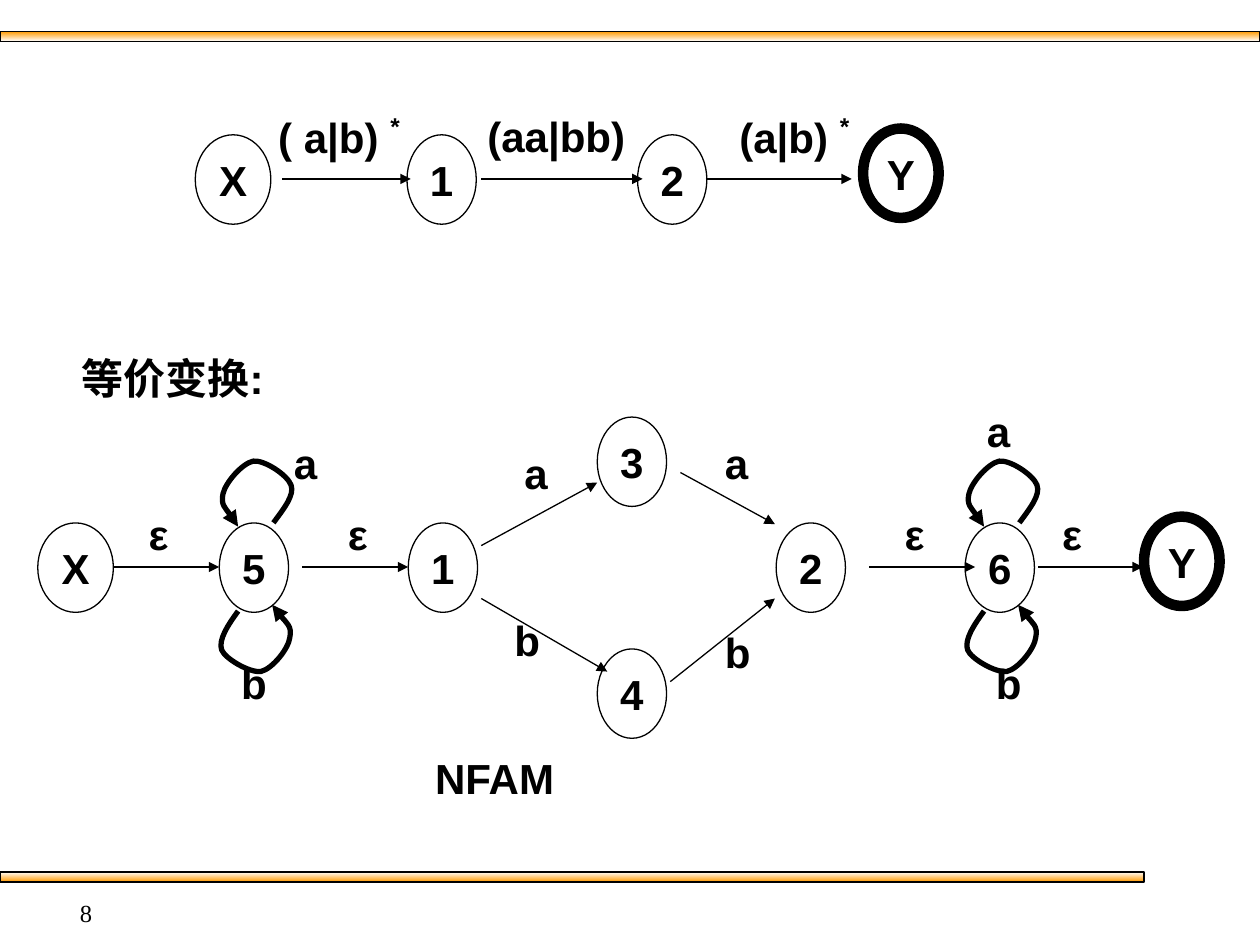
from lxml import etree
from pptx import Presentation
from pptx.dml.color import RGBColor
from pptx.enum.shapes import MSO_CONNECTOR, MSO_SHAPE
from pptx.enum.text import MSO_ANCHOR, PP_ALIGN
from pptx.oxml.ns import qn
from pptx.util import Inches, Pt

BLACK = RGBColor(0x00, 0x00, 0x00)
WHITE = RGBColor(0xFF, 0xFF, 0xFF)
ORANGE = RGBColor(0xFF, 0x99, 0x00)
OVAL, RECTANGLE = MSO_SHAPE.OVAL, MSO_SHAPE.RECTANGLE
STRAIGHT = MSO_CONNECTOR.STRAIGHT
MIDDLE = MSO_ANCHOR.MIDDLE
LEFT, CENTER, RIGHT = PP_ALIGN.LEFT, PP_ALIGN.CENTER, PP_ALIGN.RIGHT

prs = Presentation()
prs.slide_width, prs.slide_height = Inches(10), Inches(7.5)
slide = prs.slides.add_slide(prs.slide_layouts[6])
shapes = slide.shapes


def write(shape, text, align, size=24, font="Arial", bold=True):
    frame = shape.text_frame
    frame.word_wrap = False
    paragraph = frame.paragraphs[0]
    paragraph.text = text.removesuffix("*")
    paragraph.alignment = align
    if text.endswith("*"):
        star = paragraph.add_run()
        star.text = "*"
        star.font._element.set("baseline", "44000")
    for run in paragraph.runs:
        run.font.size = Pt(size)
        run.font.name = font
        run.font.bold = bold
        run.font.color.rgb = BLACK


def draw_arrow(shape, width):
    shape.line.color.rgb = BLACK
    shape.line.width = Pt(width)
    etree.SubElement(shape.line._get_or_add_ln(), qn("a:tailEnd"), type="triangle")


bars = [(0.25, 10, ORANGE, WHITE), (6.92, 9.08, WHITE, ORANGE)]
for top, width, top_color, bottom_color in bars:
    bar = shapes.add_shape(RECTANGLE, 0, Inches(top), Inches(width), Inches(0.08))
    bar.shadow.inherit = False
    bar.fill.gradient()
    bar.fill.gradient_angle = 270
    for stop, position, color in zip(bar.fill.gradient_stops, (0, 1), (top_color, bottom_color)):
        stop.position = position
        stop.color.rgb = color
    bar.line.color.rgb = BLACK
    bar.line.width = Pt(0.75)

states = [
    ("X", 1.55, 1.07), ("1", 3.23, 1.07), ("2", 5.06, 1.07), ("Y", 6.85, 1.02),
    ("X", 0.3, 4.15), ("5", 1.74, 4.15), ("1", 3.24, 4.15), ("3", 4.74, 3.31),
    ("4", 4.74, 5.15), ("2", 6.16, 4.15), ("6", 7.66, 4.15), ("Y", 9.08, 4.1),
]
for name, left, top in states:
    width = 0.6 if name in "XY" else 0.55
    state = shapes.add_shape(OVAL, Inches(left), Inches(top), Inches(width), Inches(0.71))
    state.shadow.inherit = False
    state.fill.background()
    state.line.color.rgb = BLACK
    state.line.width = Pt(6 if name == "Y" else 0.75)
    state.text_frame.vertical_anchor = MIDDLE
    write(state, name, CENTER)

transitions = [
    (2.24, 1.42, 3.26, 1.42), (3.82, 1.42, 5.1, 1.42), (5.6, 1.42, 6.76, 1.42),
    (0.9, 4.5, 1.74, 4.5), (2.4, 4.5, 3.24, 4.5),
    (6.9, 4.5, 7.74, 4.5), (8.24, 4.5, 9.07, 4.5),
    (3.82, 4.33, 4.74, 3.83), (3.82, 4.75, 4.82, 5.33),
    (5.4, 3.75, 6.15, 4.16), (5.32, 5.41, 6.15, 4.75),
]
for ends in transitions:
    transition = shapes.add_connector(STRAIGHT, *map(Inches, ends))
    draw_arrow(transition, 0.75)
    etree.SubElement(transition._element.spPr, qn("a:effectLst"))

upper_loop = [
    (2.17, 4.15), (2.25, 4.04), (2.34, 3.93), (2.31, 3.85), (2.28, 3.77),
    (2.1, 3.65), (2.01, 3.66), (1.92, 3.68), (1.79, 3.83), (1.77, 3.92),
    (1.75, 4.01), (1.87, 4.14), (1.89, 4.18),
]
lower_loop = [
    (1.89, 4.85), (1.81, 4.96), (1.73, 5.08), (1.76, 5.16), (1.79, 5.23),
    (1.98, 5.34), (2.07, 5.33), (2.16, 5.31), (2.29, 5.15), (2.3, 5.06),
    (2.32, 4.97), (2.19, 4.85), (2.16, 4.8),
]
for shift in (0, 5.92):
    for loop_points in (upper_loop, lower_loop):
        points = [(Inches(x + shift), Inches(y)) for x, y in loop_points]
        builder = shapes.build_freeform(*points[0])
        builder.add_line_segments(points[1:], close=False)
        loop = builder.convert_to_shape()
        loop.shadow.inherit = False
        loop.fill.background()
        draw_arrow(loop, 3)
        outline = next(loop._element.iter(qn("a:path")))
        segments = outline.findall(qn("a:lnTo"))
        for first in range(0, len(segments), 3):
            curve = etree.SubElement(outline, qn("a:cubicBezTo"))
            for segment in segments[first:first + 3]:
                curve.append(segment[0])
                outline.remove(segment)

labels = [
    ("等价变换:", 0.55, 2.75, 1.73, LEFT), ("NFAM", 3.34, 5.92, 1.17, CENTER),
    ("( a|b) *", 2.11, 0.83, 1.3, LEFT), ("(aa|bb)", 3.77, 0.83, 1.29, LEFT),
    ("(a|b) *", 5.77, 0.83, 1.2, LEFT),
    ("a", 2.23, 3.42, 0.39, CENTER), ("a", 4.06, 3.5, 0.39, CENTER),
    ("a", 5.65, 3.42, 0.39, CENTER), ("a", 7.73, 3.17, 0.39, CENTER),
    ("b", 1.81, 5.17, 0.41, CENTER), ("b", 3.98, 4.83, 0.41, CENTER),
    ("b", 5.65, 4.92, 0.41, CENTER), ("b", 7.8, 5.17, 0.41, CENTER),
]
labels += [("ε", left, 3.99, 0.36, CENTER) for left in (1.08, 2.66, 7.08, 8.33)]
for text, left, top, width, align in labels:
    label = shapes.add_textbox(Inches(left), Inches(top), Inches(width), Inches(0.5))
    write(label, text, align)
    label.text_frame.word_wrap = text.endswith("*")

page_number = shapes.add_textbox(0, Inches(7.08), Inches(0.83), Inches(0.25))
write(page_number, "8", RIGHT, 14, "Times New Roman", False)
page_number.text_frame.word_wrap = True

prs.save("out.pptx")
